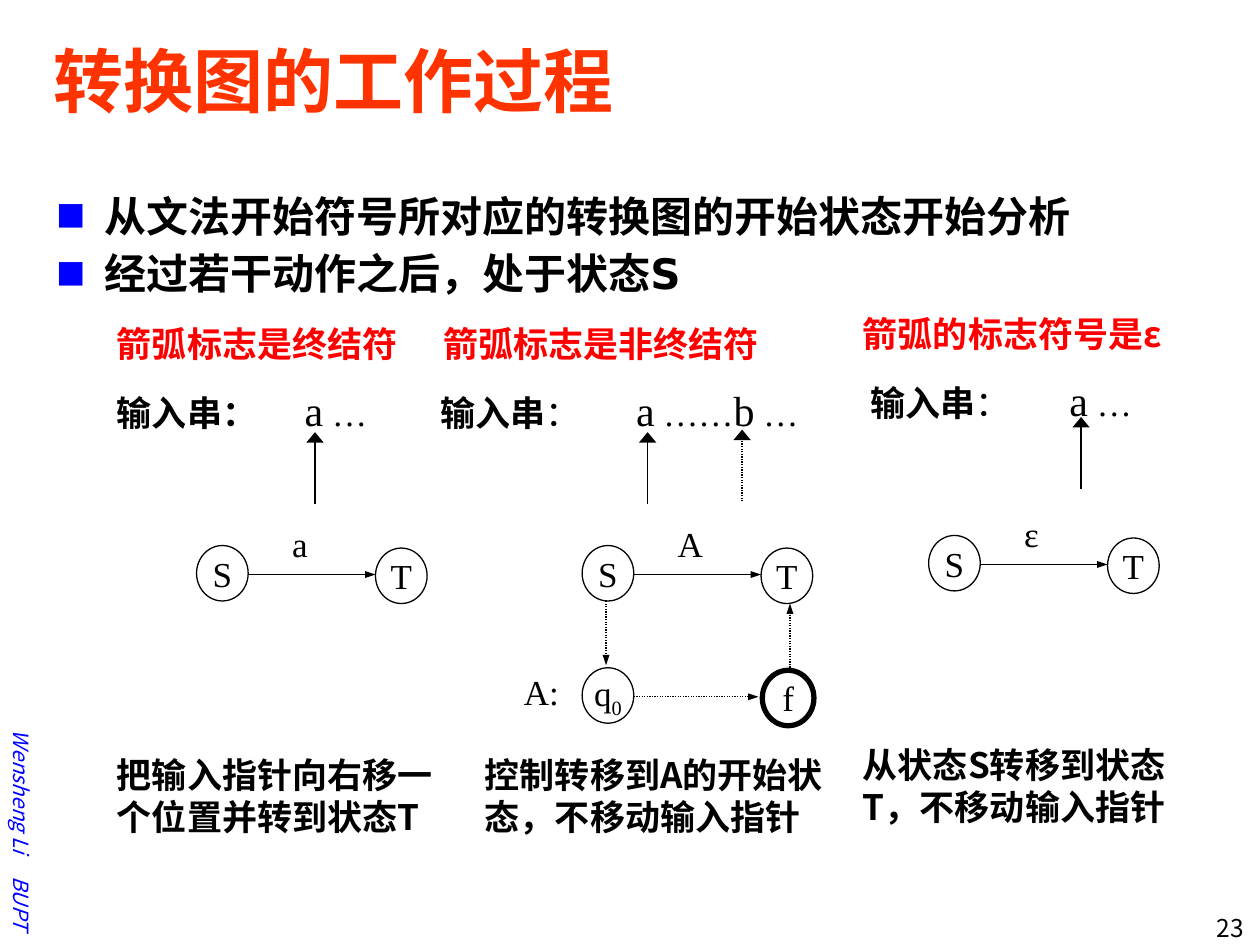
"""Slide on how transition diagrams work: three cases for the label on an arc."""
from lxml import etree
from pptx import Presentation
from pptx import util as u
from pptx.dml import color
from pptx.enum import dml, shapes, text
from pptx.oxml import ns

THEME = {
    "title": "FF3300", "heading": "FF0000", "accent": "0000FF", "ink": "000000",
    "sans": "Noto Sans CJK SC", "body": "DejaVu Sans", "serif": "Times New Roman",
    "title_size": 40, "body_size": 24, "case_size": 20, "page_size": 14, "footer_size": 12,
    "thin": 0.75, "thick": 3,
}

TITLE = "转换图的工作过程"
POINTS = ["从文法开始符号所对应的转换图的开始状态开始分析", "经过若干动作之后，处于状态S"]
FOOTER = "Wensheng Li\tBUPT"
PAGE = "23"

BOLD = {"bold": True}
LARGE = {"size": THEME["body_size"]}
CASES = [
    {"heading": ("箭弧标志是终结符", 0.83), "heading_font": "serif", "arc": "a",
     "input": [("输入串：", BOLD), ("\t", {}), ("a", LARGE), (" …", {})],
     "input_left": 0.83, "tab": 1.49, "pointer": (2.5, 3.43),
     "result": ("把输入指针向右移一个位置并转到状态T", 0.83), "shift": (0, 0)},
    {"heading": ("箭弧标志是非终结符", 3.42), "heading_font": "serif", "arc": "A",
     "input": [("输入串", BOLD), ("：\t", {}), ("a", LARGE), (" ……", {}), ("b", LARGE), (" …", {})],
     "input_left": 3.4, "tab": 1.55, "pointer": (5.14, 3.43),
     "result": ("控制转移到A的开始状态，不移动输入指针", 3.75), "shift": (3.06, 0)},
    {"heading": ("箭弧的标志符号是ε", 6.75), "heading_font": "sans", "arc": "ε",
     "input": [("输入串", BOLD), ("：\t", {}), ("a", LARGE), (" …", {})],
     "input_left": 6.81, "tab": 1.58, "pointer": (8.58, 3.31),
     "result": ("从状态S转移到状态T，不移动输入指针", 6.75), "shift": (5.81, -0.08)},
]
SUBDIAGRAM_NODES = [
    ([("q", {}), ("0", {"baseline": -25000})], 4.62, 5.3, THEME["thin"]),
    ("f", 6.05, 5.32, THEME["thick"]),
]
DOTTED_ARROWS = [
    ((5.03, 5.53), (6.02, 5.53)),
    ((4.81, 4.77), (4.81, 5.28)),
    ((6.27, 5.32), (6.27, 4.79)),
]
LOOKAHEAD = (5.89, 3.41)
NODE_SIZE = (0.41, 0.44)
POINTER_LENGTH = 0.57

deck = Presentation()
deck.slide_width, deck.slide_height = u.Inches(10), u.Inches(7.5)
slide = deck.slides.add_slide(deck.slide_layouts[6])


def rgb(name):
    return color.RGBColor.from_string(THEME[name])


def add_child(parent, tag, **attributes):
    return etree.SubElement(parent, ns.qn(tag), attributes)


def write(frame, content, font="serif", size=THEME["case_size"], ink="ink", bold=False,
          italic=False, align=text.PP_ALIGN.LEFT, tab=None, bullet=False,
          pitch=None, before=None, new=False):
    """Write a string, or a list of (string, overrides), as one paragraph."""
    paragraph = frame.add_paragraph() if new else frame.paragraphs[0]
    properties = paragraph._p.get_or_add_pPr()
    if bullet:
        indent = u.Inches(0.38)
        properties.set("marL", str(indent))
        properties.set("indent", str(-indent))
        add_child(add_child(properties, "a:buClr"), "a:srgbClr", val=THEME["accent"])
        add_child(properties, "a:buSzPct", val="70000")
        add_child(properties, "a:buFont", typeface=THEME["sans"])
        add_child(properties, "a:buChar", char="■")
    if tab:
        stops = add_child(properties, "a:tabLst")
        add_child(stops, "a:tab", pos=str(u.Inches(tab)), algn="l")
    paragraph.alignment = align
    if pitch:
        paragraph.line_spacing = u.Pt(pitch)
    if before:
        paragraph.space_before = u.Pt(before)
    for words, override in [(content, {})] if isinstance(content, str) else content:
        run = paragraph.add_run()
        run.text = words
        run.font.name = THEME[font]
        run.font.size = u.Pt(override.get("size", size))
        run.font.bold = override.get("bold", bold)
        run.font.italic = italic
        run.font.color.rgb = rgb(ink)
        add_child(run._r.get_or_add_rPr(), "a:ea", typeface=THEME["sans"])
        if "baseline" in override:
            run._r.get_or_add_rPr().set("baseline", str(override["baseline"]))


def box(left, top, width, height, anchor=text.MSO_ANCHOR.TOP, rotation=0):
    area = slide.shapes.add_textbox(*map(u.Inches, (left, top, width, height)))
    area.rotation = rotation
    area.text_frame.word_wrap = True
    area.text_frame.vertical_anchor = anchor
    return area.text_frame


def node(label, left, top, weight=THEME["thin"]):
    state = slide.shapes.add_shape(
        shapes.MSO_SHAPE.OVAL, *map(u.Inches, (left, top, *NODE_SIZE)))
    state.shadow.inherit = False
    state.fill.background()
    state.line.color.rgb = rgb("ink")
    state.line.width = u.Pt(weight)
    frame = state.text_frame
    frame.margin_left = frame.margin_right = frame.margin_top = frame.margin_bottom = 0
    frame.word_wrap = False
    frame.vertical_anchor = text.MSO_ANCHOR.MIDDLE
    write(frame, label, align=text.PP_ALIGN.CENTER)


def arrow(start, end, dotted=False, head="sm"):
    link = slide.shapes.add_connector(
        shapes.MSO_CONNECTOR.STRAIGHT, *map(u.Inches, (*start, *end)))
    link.line.color.rgb = rgb("ink")
    link.line.width = u.Pt(THEME["thin"])
    if dotted:
        link.line.dash_style = dml.MSO_LINE.ROUND_DOT
    add_child(link.line._get_or_add_ln(), "a:tailEnd", type="triangle", w=head, len="med")
    add_child(link._element.spPr, "a:effectLst")


def pointer(tip, dotted=False):
    arrow((tip[0], tip[1] + POINTER_LENGTH), tip, dotted, head="lg")


def draw_case(case):
    dx, dy = case["shift"]
    heading, heading_left = case["heading"]
    write(box(heading_left, 2.51 + dy, 2.92, 0.43), heading, font=case["heading_font"],
          ink="heading", bold=True, pitch=24)
    write(box(case["input_left"], 3 + dy, 3.2, 0.67), case["input"], tab=case["tab"])
    pointer(case["pointer"])
    node("S", 1.56 + dx, 4.33 + dy)
    node("T", 2.98 + dx, 4.35 + dy)
    arrow((1.97 + dx, 4.56 + dy), (2.98 + dx, 4.56 + dy))
    write(box(2.22 + dx, 4.1 + dy, 0.49, 0.51), case["arc"])
    result, result_left = case["result"]
    write(box(result_left, 5.93 + dy, 2.92, 0.77), result, font="sans", bold=True, pitch=24)


def main():
    write(box(-0.73, 6.45, 1.81, 0.3, text.MSO_ANCHOR.MIDDLE, 90), FOOTER, font="sans",
          size=THEME["footer_size"], ink="accent", italic=True, tab=1.16)
    write(box(8.99, 7.2, 0.98, 0.3), PAGE, font="sans", size=THEME["page_size"],
          align=text.PP_ALIGN.RIGHT)
    write(box(0.33, 0.17, 9.42, 0.92, text.MSO_ANCHOR.MIDDLE), TITLE, font="sans",
          size=THEME["title_size"], ink="title", bold=True)
    points = box(0.35, 1.47, 9.14, 1.43)
    for index, point in enumerate(POINTS):
        write(points, point, font="body", size=THEME["body_size"], bold=True, bullet=True,
              pitch=28, before=5 if index else None, new=index > 0)
    for case in CASES:
        draw_case(case)
    for state in SUBDIAGRAM_NODES:
        node(*state)
    for start, end in DOTTED_ARROWS:
        arrow(start, end, dotted=True)
    pointer(LOOKAHEAD, dotted=True)
    write(box(4.06, 5.27, 0.63, 0.49), "A:")
    deck.save("out.pptx")


if __name__ == "__main__":
    main()
